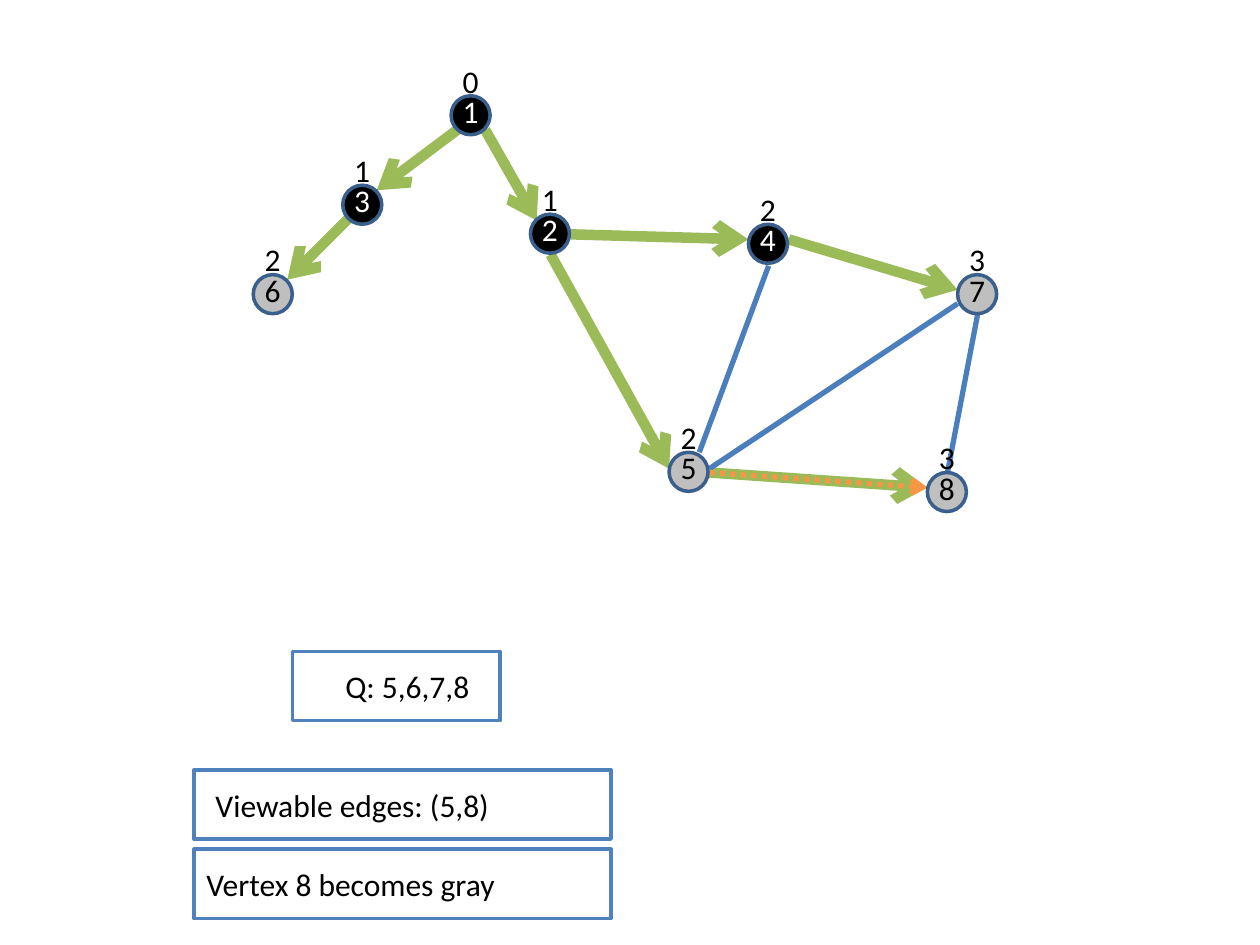
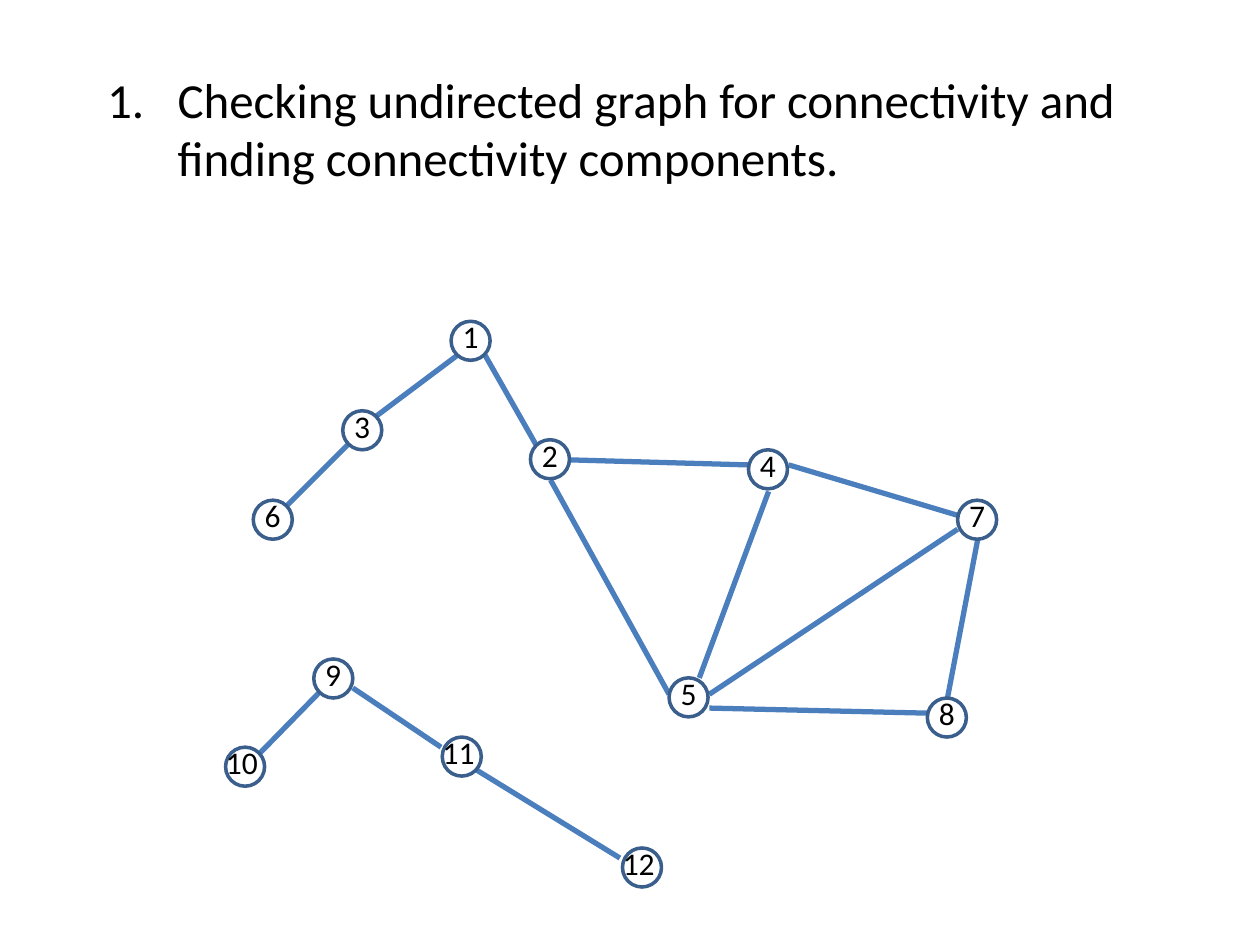
from dataclasses import dataclass

from lxml.etree import SubElement
from pptx import Presentation
from pptx.dml.color import RGBColor
from pptx.enum.dml import MSO_LINE
from pptx.enum.shapes import MSO_CONNECTOR, MSO_SHAPE
from pptx.enum.text import MSO_ANCHOR as ANCHOR, MSO_AUTO_SIZE as FIT, PP_ALIGN as ALIGN
from pptx.oxml.ns import qn
from pptx.util import Inches, Pt


@dataclass(frozen=True)
class Theme:
    """Colours, type and line sizes shared by the slides."""
    font: str = "Calibri"
    title_size: int = 28
    text_size: int = 18
    black: str = "000000"
    white: str = "FFFFFF"
    gray: str = "BFBFBF"
    outline: str = "3A5F8C"
    frame: str = "4F81BD"
    edge: str = "4B7EBC"
    tree: str = "9BBB59"
    current: str = "F79646"
    outline_width: int = 2
    edge_width: int = 3
    tree_width: int = 6


T = Theme()

# Top left corner of each vertex, before the slide's vertical shift
DIAMETER = 0.31
NODES = {
    1: (3.58, 0.76), 2: (4.21, 1.70), 3: (2.72, 1.47), 4: (5.94, 1.78),
    5: (5.31, 3.59), 6: (2.01, 2.18), 7: (7.60, 2.18), 8: (7.36, 3.75),
    9: (2.49, 3.44), 10: (1.79, 4.14), 11: (3.51, 4.06), 12: (4.94, 4.94),
}
EDGES = {
    (1, 3): (3.63, 1.03, 2.99, 1.51),
    (3, 6): (2.76, 1.74, 2.28, 2.22),
    (1, 2): (3.85, 1.03, 4.26, 1.75),
    (2, 4): (4.53, 1.86, 5.94, 1.90),
    (4, 7): (6.26, 1.90, 7.60, 2.30),
    (7, 8): (7.76, 2.49, 7.52, 3.75),
    (2, 5): (4.37, 2.02, 5.31, 3.72),
    (5, 8): (5.63, 3.83, 7.36, 3.87),
    (4, 5): (6.10, 2.11, 5.55, 3.59),
    (5, 7): (7.60, 2.41, 5.63, 3.72),
    (9, 10): (2.54, 3.70, 2.06, 4.19),
    (9, 11): (2.80, 3.67, 3.50, 4.14),
    (11, 12): (3.78, 4.32, 4.92, 5.02),
}
TREE = {(1, 3), (3, 6), (1, 2), (2, 4), (4, 7), (2, 5), (5, 8)}
TREE_5_8 = (5.63, 3.75, 7.36, 3.87)
DISTANCES = {1: 0, 2: 1, 3: 1, 4: 2, 5: 2, 6: 2, 7: 3, 8: 3}
FINISHED = {1, 2, 3, 4}


def add_line(s, ends, color, width, arrow=False, dash=None):
    """Draw a straight line, with an arrowhead at its end if asked."""
    line = s.shapes.add_connector(MSO_CONNECTOR.STRAIGHT, *map(Inches, ends))
    line.line.color.rgb = RGBColor.from_string(color)
    line.line.width = Pt(width)
    if dash:
        line.line.dash_style = dash
    if arrow:
        SubElement(line.line._get_or_add_ln(), qn("a:tailEnd"), type="arrow")
    SubElement(line._element.spPr, qn("a:effectLst"))


def set_text(sp, text, color=T.black, size=T.text_size, align=ALIGN.CENTER, **frame):
    """Write one paragraph in a shape and format its text frame."""
    tf = sp.text_frame
    for name, value in frame.items():
        setattr(tf, name, value)
    p = tf.paragraphs[0]
    p.alignment = align
    r = p.add_run()
    r.text = str(text)
    for name, value in {"name": T.font, "size": Pt(size)}.items():
        setattr(r.font, name, value)
    r.font.color.rgb = RGBColor.from_string(color)
    return p


prs = Presentation()
prs.slide_width, prs.slide_height = Inches(10), Inches(7.5)
search = prs.slides.add_slide(prs.slide_layouts[6])
components = prs.slides.add_slide(prs.slide_layouts[5])

# Title of the connectivity slide, as a numbered item
title = components.shapes.title
for name, value in {"left": 0.75, "top": 0.21, "width": 8.5, "height": 1.61}.items():
    setattr(title, name, Inches(value))
p = set_text(title, "Checking undirected graph for connectivity and finding connectivity components.",
             size=T.title_size, align=ALIGN.LEFT, word_wrap=True,
             vertical_anchor=ANCHOR.MIDDLE, auto_size=FIT.NONE)
pPr = p._p.get_or_add_pPr()
for name, value in {"marL": 0.56, "indent": -0.56}.items():
    pPr.set(name, str(Inches(value)))
SubElement(pPr, qn("a:buAutoNum"), type="arabicPeriod")

# The graph on both slides: edges first, vertices over them
for s, shift, count in ((search, 0, 8), (components, 1.79, 12)):
    searching = s is search
    for pair, (x1, y1, x2, y2) in EDGES.items():
        if max(pair) > count:
            continue
        if searching and pair in TREE:
            ends = TREE_5_8 if pair == (5, 8) else (x1, y1, x2, y2)
            add_line(s, ends, T.tree, T.tree_width, arrow=True)
        else:
            add_line(s, (x1, y1 + shift, x2, y2 + shift), T.edge, T.edge_width)
    if searching:
        add_line(s, TREE_5_8, T.current, T.edge_width, arrow=True, dash=MSO_LINE.ROUND_DOT)

    for node in range(1, count + 1):
        x, y = NODES[node][0], NODES[node][1] + shift
        fill, ink = T.white, T.black
        if searching:
            fill, ink = (T.black, T.white) if node in FINISHED else (T.gray, T.black)
        sp = s.shapes.add_shape(MSO_SHAPE.OVAL, *map(Inches, (x, y, DIAMETER, DIAMETER)))
        sp.shadow.inherit = False
        sp.fill.solid()
        sp.fill.fore_color.rgb = RGBColor.from_string(fill)
        sp.line.color.rgb = RGBColor.from_string(T.outline)
        sp.line.width = Pt(T.outline_width)

        labels = [(node, -0.08, ink)]
        if searching:
            labels.append((DISTANCES[node], -0.32, T.black))
        for text, rise, color in labels:
            left, width = (x - 0.1, 0.46) if text > 9 else (x - 0.01, 0.33)
            box = s.shapes.add_textbox(*map(Inches, (left, y + rise, width, 0.4)))
            set_text(box, text, color, word_wrap=False, auto_size=FIT.SHAPE_TO_FIT_TEXT)

# State of the search: queue, edges in view, latest step
for x, y, width, inset, text in (
    (2.32, 5.17, 1.65, 0.42, "Q: 5,6,7,8"),
    (1.54, 6.11, 3.31, 0.17, "Viewable edges: (5,8)"),
    (1.54, 6.74, 3.31, 0.10, "Vertex 8 becomes gray"),
):
    sp = search.shapes.add_shape(MSO_SHAPE.RECTANGLE, *map(Inches, (x, y, width, 0.55)))
    sp.shadow.inherit = False
    sp.fill.solid()
    sp.fill.fore_color.rgb = RGBColor.from_string(T.white)
    sp.line.color.rgb = RGBColor.from_string(T.frame)
    sp.line.width = Pt(T.outline_width)
    set_text(sp, text, align=ALIGN.LEFT, margin_left=Inches(inset),
             vertical_anchor=ANCHOR.MIDDLE, word_wrap=True)

prs.save("out.pptx")
